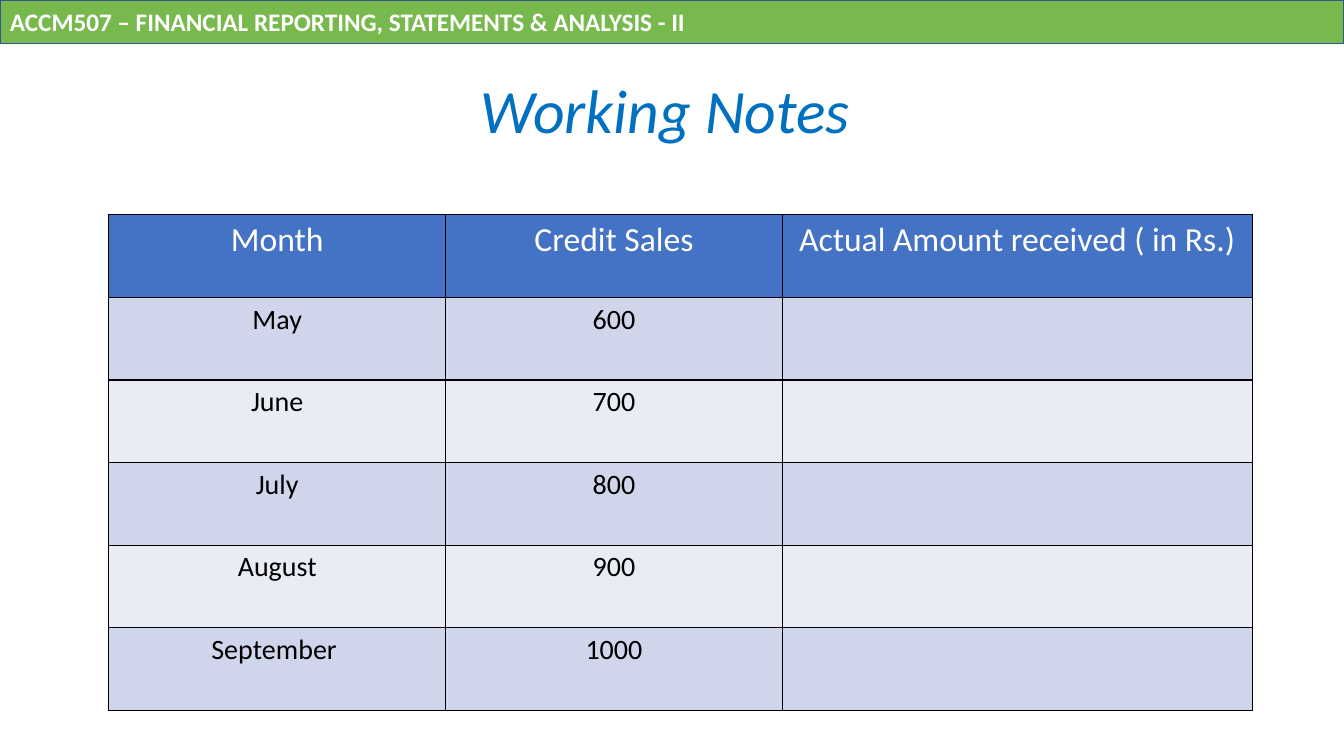
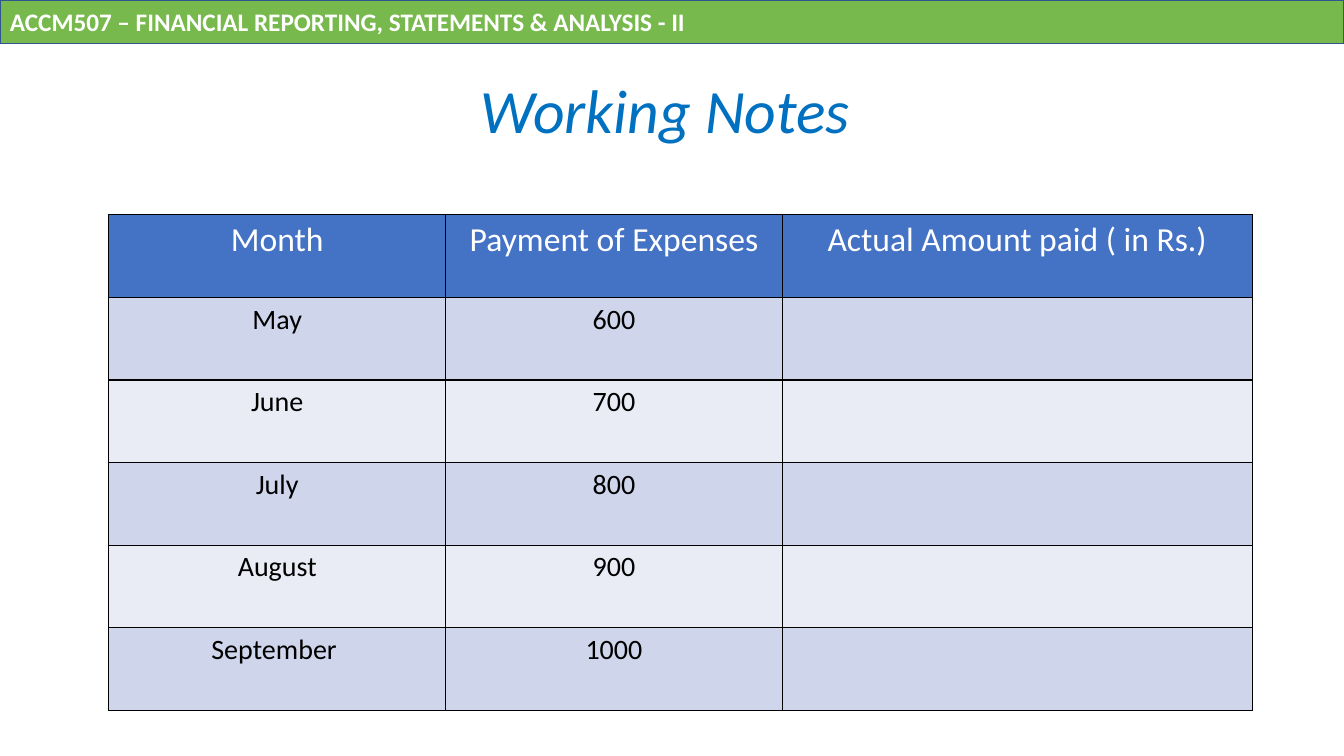
import pptx
import pptx.util
import pptx.oxml
import pptx.oxml.ns
import pptx.dml.color
import pptx.enum.shapes
import pptx.enum.text
from pptx.util import Inches

COURSE = "ACCM507 – FINANCIAL REPORTING, STATEMENTS & ANALYSIS - II"
TITLE = "Working Notes "
HEADINGS = [
    ("Month", "Credit Sales", "Actual Amount received ( in Rs.)"),
    ("Month", "Payment of Expenses", "Actual Amount paid ( in Rs.)"),
]
MONTHLY_AMOUNTS = [
    ("May", "600", ""),
    ("June", "700", ""),
    ("July", "800", ""),
    ("August", "900", ""),
    ("September ", "1000", ""),
]

HEADING_FILL = "4472C4"
ROW_FILLS = ("CFD5EA", "E9EBF5")
BORDER = "000000"
COLUMN_WIDTHS = (3.34, 3.34, 4.66)
ROW_HEIGHT = 0.82
CENTER = pptx.enum.text.PP_ALIGN.CENTER
LEFT = pptx.enum.text.PP_ALIGN.LEFT

COURSE_FONT = {"size": 18, "color": "FFFFFF", "bold": True}
TITLE_FONT = {"size": 44, "color": "0070C0", "italic": True}
HEADING_FONT = {"size": 24, "color": "FFFFFF", "bold": False}
AMOUNT_FONT = {"size": 20, "color": "000000", "bold": False}


def rgb(value):
    return pptx.dml.color.RGBColor.from_string(value)


def paint(fill, value):
    fill.solid()
    fill.fore_color.rgb = rgb(value)


def write(frame, text, style, alignment):
    paragraph = frame.paragraphs[0]
    paragraph.alignment = alignment
    if text:
        paragraph.add_run().text = text
    font = paragraph.runs[0].font if text else paragraph.font
    font.name = "Calibri"
    for name, value in style.items():
        if name == "color":
            font.color.rgb = rgb(value)
        else:
            setattr(font, name, pptx.util.Pt(value) if name == "size" else value)
    return paragraph


def place(shape, left, top, width, height):
    box = {"left": left, "top": top, "width": width, "height": height}
    for name, value in box.items():
        setattr(shape, name, Inches(value))


def outline(cell):
    properties = cell._tc.get_or_add_tcPr()
    for position, side in enumerate(("lnL", "lnR", "lnT", "lnB")):
        properties.insert(position, pptx.oxml.parse_xml(
            f'<a:{side} {pptx.oxml.ns.nsdecls("a")} w="12700"><a:solidFill>'
            f'<a:srgbClr val="{BORDER}"/></a:solidFill></a:{side}>'))


def add_course_band(slide, layout, width):
    band = slide.shapes.add_shape(
        pptx.enum.shapes.MSO_SHAPE.RECTANGLE, 0, 0, width, Inches(0.43))
    band.shadow.inherit = False
    paint(band.fill, "77B94C")
    band.line.color.rgb = rgb("325491")
    band.line.width = pptx.util.Pt(1)
    band.text_frame.vertical_anchor = pptx.enum.text.MSO_ANCHOR.MIDDLE
    write(band.text_frame, COURSE, COURSE_FONT, LEFT)
    band.element.xpath("./p:nvSpPr/p:cNvPr")[0].set("id", "20")
    layout.shapes.element.append(band.element)


def add_title(slide):
    frame = slide.shapes.title.text_frame
    frame.auto_size = pptx.enum.text.MSO_AUTO_SIZE.NONE
    frame.vertical_anchor = pptx.enum.text.MSO_ANCHOR.MIDDLE
    write(frame, TITLE, TITLE_FONT, CENTER).line_spacing = 0.9


def add_amounts(slide, headings):
    rows = [headings, *MONTHLY_AMOUNTS]
    amounts = slide.shapes.add_table(
        len(rows), len(headings), Inches(1.08), Inches(2.13),
        Inches(sum(COLUMN_WIDTHS)), Inches(ROW_HEIGHT * len(rows))).table
    for column, width in zip(amounts.columns, COLUMN_WIDTHS):
        column.width = Inches(width)
    for r, texts in enumerate(rows):
        amounts.rows[r].height = Inches(ROW_HEIGHT)
        for c, text in enumerate(texts):
            cell = amounts.cell(r, c)
            paint(cell.fill, ROW_FILLS[(r - 1) % 2] if r else HEADING_FILL)
            outline(cell)
            write(cell.text_frame, text, AMOUNT_FONT if r else HEADING_FONT, CENTER)


def main():
    deck = pptx.Presentation()
    deck.slide_width, deck.slide_height = Inches(13.33), Inches(7.5)
    layout = deck.slide_layouts[5]
    place(layout.placeholders[0], 0.92, 0.4, 11.5, 1.45)
    for number, headings in enumerate(HEADINGS):
        slide = deck.slides.add_slide(layout)
        if number == 0:
            add_course_band(slide, layout, deck.slide_width)
        add_title(slide)
        add_amounts(slide, headings)
    deck.save("out.pptx")


if __name__ == "__main__":
    main()
